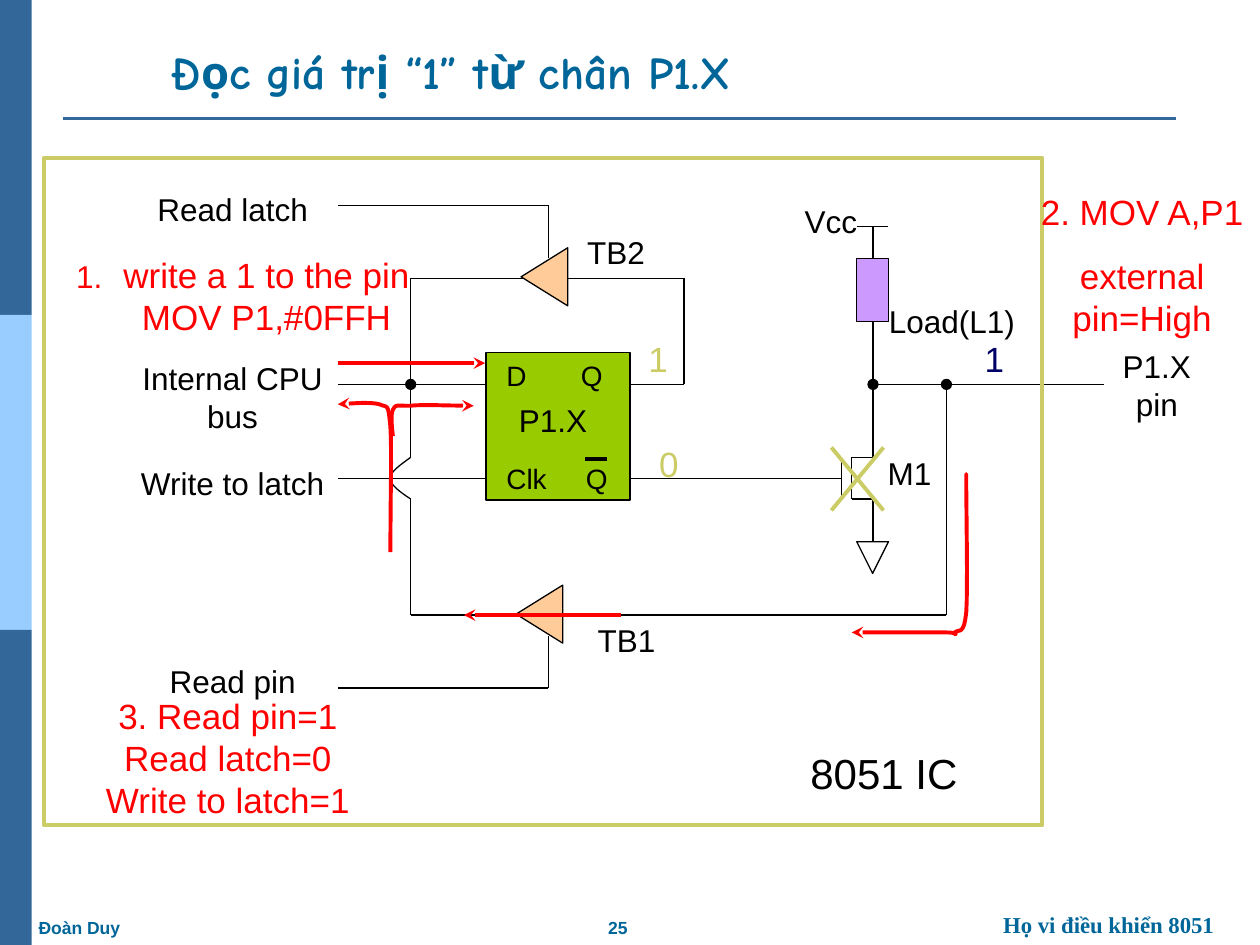
from dataclasses import dataclass
from itertools import pairwise
from typing import Optional

from lxml.etree import SubElement
from pptx import Presentation
from pptx.dml.color import RGBColor
from pptx.enum.shapes import MSO_CONNECTOR as Connector, MSO_SHAPE as Preset
from pptx.enum.text import MSO_ANCHOR as Anchor, PP_ALIGN as Align
from pptx.oxml.ns import qn
from pptx.util import Cm, Pt

Point = tuple[float, float]


@dataclass(frozen=True)
class Theme:
    navy: str = "336699"
    sky: str = "99CCFF"
    teal: str = "006699"
    ink: str = "000000"
    signal: str = "FF0000"
    olive: str = "CCCC66"
    level: str = "000066"
    latch: str = "99CC00"
    buffer: str = "FFCC99"
    load: str = "CC99FF"
    font: str = "Arial"
    title_font: str = "Comic Neue"
    serif: str = "Times New Roman"
    title: float = 26
    chip: float = 24
    step: float = 20
    label: float = 18
    pins: float = 16
    course: float = 13
    footer: float = 10
    thin: float = 0.75
    rule: float = 1.5
    overbar: float = 2
    thick: float = 2.25


THEME = Theme()


@dataclass(frozen=True)
class Label:
    text: str
    left: float
    top: float
    width: float
    height: float = 1.02
    size: float = THEME.label
    color: str = THEME.ink
    font: str = THEME.font
    bold: bool = False
    align: Align = Align.CENTER
    anchor: Anchor = Anchor.TOP
    gap: float = 12.5


@dataclass(frozen=True)
class Block:
    preset: Preset
    left: float
    top: float
    width: float
    height: float
    fill: Optional[str] = None
    outline: Optional[str] = THEME.ink
    weight: float = THEME.thin
    rotation: float = 0


@dataclass(frozen=True)
class Wire:
    points: tuple[Point, ...]
    color: str = THEME.ink
    weight: float = THEME.thin
    arrow: bool = False


def dot(x: float, y: float) -> Block:
    return Block(Preset.OVAL, x - 0.1, y - 0.1, 0.2, 0.2, THEME.ink)


def wire(*points: Point) -> Wire:
    return Wire(points)


def signal(*points: Point) -> Wire:
    return Wire(points, THEME.signal, THEME.thick, True)


def style_line(line, color: str, weight: float, arrow: bool = False) -> None:
    line.color.rgb = RGBColor.from_string(color)
    line.width = Pt(weight)
    if arrow:
        SubElement(line._get_or_add_ln(), qn("a:tailEnd"), type="stealth")


def draw_block(shapes, block: Block) -> None:
    shape = shapes.add_shape(block.preset, Cm(block.left), Cm(block.top),
                             Cm(block.width), Cm(block.height))
    shape.shadow.inherit = False
    shape.rotation = block.rotation
    if block.fill:
        shape.fill.solid()
        shape.fill.fore_color.rgb = RGBColor.from_string(block.fill)
    else:
        shape.fill.background()
    if block.outline:
        style_line(shape.line, block.outline, block.weight)
    else:
        shape.line.fill.background()


def draw_wire(shapes, route: Wire) -> None:
    for (x1, y1), (x2, y2) in pairwise(route.points):
        segment = shapes.add_connector(Connector.STRAIGHT, Cm(x1), Cm(y1), Cm(x2), Cm(y2))
        style_line(segment.line, route.color, route.weight, route.arrow)
        SubElement(segment._element.spPr, qn("a:effectLst"))


def bezier(a: Point, b: Point, c: Point, d: Point, steps: int = 8) -> list[Point]:
    def at(t: float, axis: int) -> float:
        u = 1 - t
        return (u**3 * a[axis] + 3 * u * u * t * b[axis]
                + 3 * u * t * t * c[axis] + t**3 * d[axis])

    return [(at(i / steps, 0), at(i / steps, 1)) for i in range(1, steps + 1)]


def draw_curve(shapes, curve: Wire) -> None:
    knots = curve.points
    path = [p for i in range(0, len(knots) - 1, 3) for p in bezier(*knots[i:i + 4])]
    builder = shapes.build_freeform(Cm(knots[0][0]), Cm(knots[0][1]), scale=1.0)
    builder.add_line_segments([(Cm(x), Cm(y)) for x, y in path], close=False)
    shape = builder.convert_to_shape()
    shape.shadow.inherit = False
    shape.fill.background()
    style_line(shape.line, curve.color, curve.weight, curve.arrow)


def draw_label(shapes, label: Label):
    frame = shapes.add_textbox(Cm(label.left), Cm(label.top),
                               Cm(label.width), Cm(label.height)).text_frame
    frame.text = label.text
    frame.word_wrap = True
    frame.vertical_anchor = label.anchor
    for index, paragraph in enumerate(frame.paragraphs):
        paragraph.alignment = label.align
        if index:
            paragraph.space_before = Pt(label.gap)
        for run in paragraph.runs:
            run.font.name = label.font
            run.font.size = Pt(label.size)
            run.font.bold = label.bold
            run.font.color.rgb = RGBColor.from_string(label.color)
    return frame


def add_number(paragraph, color: str) -> None:
    props = paragraph._p.get_or_add_pPr()
    props.set("marL", str(Cm(0.95)))
    props.set("indent", str(Cm(-0.95)))
    SubElement(SubElement(props, qn("a:buClr")), qn("a:srgbClr"), val=color)
    SubElement(props, qn("a:buSzPct"), val="90000")
    SubElement(props, qn("a:buAutoNum"), type="arabicPeriod")


def add_tab(paragraph, position: float) -> None:
    stops = SubElement(paragraph._p.get_or_add_pPr(), qn("a:tabLst"))
    SubElement(stops, qn("a:tab"), pos=str(Cm(position)), algn="l")


SIDEBAR = [Block(Preset.RECTANGLE, 0, 6.35 * i, 0.64, 6.35, color, None)
           for i, color in enumerate((THEME.navy, THEME.sky, THEME.navy))]
WIRES = [
    Wire(((1.27, 2.39), (23.7, 2.39)), THEME.navy, THEME.rule),
    wire((6.81, 4.14), (11.05, 4.14), (11.05, 5.21)),
    wire((6.81, 13.87), (11.05, 13.87), (11.05, 12.83)),
    wire((11.46, 5.61), (13.79, 5.61), (13.79, 7.75), (12.73, 7.75)),
    wire((6.81, 7.75), (9.8, 7.75)),
    wire((6.81, 9.65), (9.8, 9.65)),
    wire((12.73, 9.65), (16.97, 9.65)),
    wire((16.97, 9.22), (16.97, 10.06)),
    wire((17.6, 6.48), (17.6, 9.22), (17.17, 9.22), (17.17, 10.06),
         (17.6, 10.06), (17.6, 10.92)),
    wire((17.6, 7.75), (22.25, 7.75)),
    wire((17.6, 4.57), (17.6, 5.21)),
    wire((17.27, 4.57), (17.91, 4.57)),
    wire((19.08, 7.75), (19.08, 12.4), (11.46, 12.4)),
    wire((10.62, 5.61), (8.28, 5.61), (8.28, 9.22)),
    wire((8.28, 10.06), (8.28, 12.4), (10.39, 12.4)),
]
BLOCKS = [
    Block(Preset.RECTANGLE, 9.8, 7.11, 2.9, 2.97, THEME.latch),
    Block(Preset.ISOSCELES_TRIANGLE, 10.39, 5.11, 1.17, 0.94, THEME.buffer, rotation=270),
    Block(Preset.ISOSCELES_TRIANGLE, 10.29, 11.91, 1.17, 0.94, THEME.buffer, rotation=270),
    Block(Preset.RECTANGLE, 17.27, 5.21, 0.64, 1.27, THEME.load),
    Block(Preset.ISOSCELES_TRIANGLE, 17.27, 10.92, 0.64, 0.64, rotation=180),
    *(dot(x, 7.75) for x in (8.28, 17.6, 19.08)),
    Block(Preset.RECTANGLE, 0.89, 3.18, 20.12, 13.46, None, THEME.olive, THEME.thick),
]
MARKS = [
    Wire(((11.79, 9.25), (12.24, 9.25)), weight=THEME.overbar),
    signal((12.52, 12.4), (9.35, 12.4)),
    signal((6.81, 7.32), (9.78, 7.32)),
    Wire(((16.76, 9.02), (17.81, 10.29)), THEME.olive, THEME.thick),
    Wire(((17.81, 9.02), (16.76, 10.29)), THEME.olive, THEME.thick),
]
CURVES = [
    wire((8.28, 9.22), (8.08, 9.37), (7.87, 9.5), (7.87, 9.65),
         (7.87, 9.78), (8.08, 9.93), (8.28, 10.06)),
    signal((19.48, 9.68), (19.48, 9.55), (19.48, 9.42), (19.48, 9.88),
           (19.48, 10.31), (19.51, 11.86), (19.48, 12.34),
           (19.43, 12.83), (19.33, 12.67), (19.25, 12.75),
           (19.2, 12.83), (19.41, 12.75), (19.05, 12.75),
           (18.69, 12.75), (17.93, 12.75), (17.17, 12.75)),
    signal((7.87, 11.13), (7.87, 10.11), (7.9, 9.07), (7.87, 8.59),
           (7.82, 8.1), (7.82, 8.23), (7.65, 8.15),
           (7.47, 8.1), (7.14, 8.13), (6.81, 8.15)),
    signal((7.92, 8.79), (7.9, 8.59), (7.87, 8.36), (7.92, 8.26),
           (7.98, 8.15), (7.98, 8.18), (8.26, 8.18),
           (8.51, 8.15), (9.04, 8.18), (9.55, 8.18)),
]
FOOT = dict(color=THEME.teal, bold=True)
STEP = dict(size=THEME.step, color=THEME.signal)
BIT = dict(width=1.07, height=1.12, size=THEME.step)
LABELS = [
    Label("Đọc giá trị “1” từ chân P1.X", 3.18, 0.15, 18.62, 1.96, THEME.title,
          font=THEME.title_font, align=Align.LEFT, anchor=Anchor.BOTTOM, **FOOT),
    Label("25", 11.35, 18.36, 2.21, 0.69, THEME.footer, **FOOT),
    Label("Họ vi điều khiển 8051", 19.46, 18.24, 5.77, 0.81, THEME.course,
          font=THEME.serif, **FOOT),
    Label("Đoàn Duy", 0.53, 18.36, 3, 0.69, THEME.footer, align=Align.LEFT, **FOOT),
    Label("Read latch", 2.57, 3.71, 4.24),
    Label("Internal CPU bus", 2.57, 7.11, 4.24, 1.78),
    Label("Write to latch", 2.57, 9.22, 4.24),
    Label("Read pin", 2.57, 13.23, 4.24),
    Label("Vcc", 15.9, 3.94, 1.7),
    Label("Load(L1)", 17.6, 5.97, 3.18),
    Label("M1", 17.6, 9.02, 1.47),
    Label("P1.X pin", 22.05, 6.88, 2.54, 1.78),
    Label("P1.X", 9.88, 7.95, 2.54),
    Label("TB1", 11.46, 12.4, 2.34),
    Label("TB2", 11.25, 4.57, 2.34),
    Label("8051 IC", 14.86, 14.94, 5.92, 1.27, THEME.chip),
    Label("2. MOV A,P1\nexternal pin=High", 20.7, 3.71, 4.65, 3.25, **STEP),
    Label("3. Read pin=1 Read latch=0 Write to latch=1", 1.52, 13.87, 6.15, 2.79, **STEP),
    Label("1", 12.73, 6.68, color=THEME.olive, **BIT),
    Label("0", 12.95, 8.79, color=THEME.olive, **BIT),
    Label("1", 19.51, 6.68, color=THEME.level, **BIT),
]
FIRST_STEP = Label("write a 1 to the pin MOV P1,#0FFH", 1.09, 4.98, 7.62, 1.96, **STEP)
LATCH_PINS = Label("D\tQ\nClk\tQ", 9.96, 7.11, 2.59, 3, THEME.pins,
                   align=Align.LEFT, gap=39.5)


def main() -> None:
    deck = Presentation()
    deck.slide_width, deck.slide_height = Cm(25.4), Cm(19.05)
    shapes = deck.slides.add_slide(deck.slide_layouts[6]).shapes
    for route in WIRES:
        draw_wire(shapes, route)
    for block in SIDEBAR + BLOCKS:
        draw_block(shapes, block)
    for mark in MARKS:
        draw_wire(shapes, mark)
    for curve in CURVES:
        draw_curve(shapes, curve)
    for label in LABELS:
        draw_label(shapes, label)
    add_number(draw_label(shapes, FIRST_STEP).paragraphs[0], THEME.signal)
    for pin_row, tab in zip(draw_label(shapes, LATCH_PINS).paragraphs, (1.5, 1.6)):
        add_tab(pin_row, tab)
    deck.save("out.pptx")


if __name__ == "__main__":
    main()
